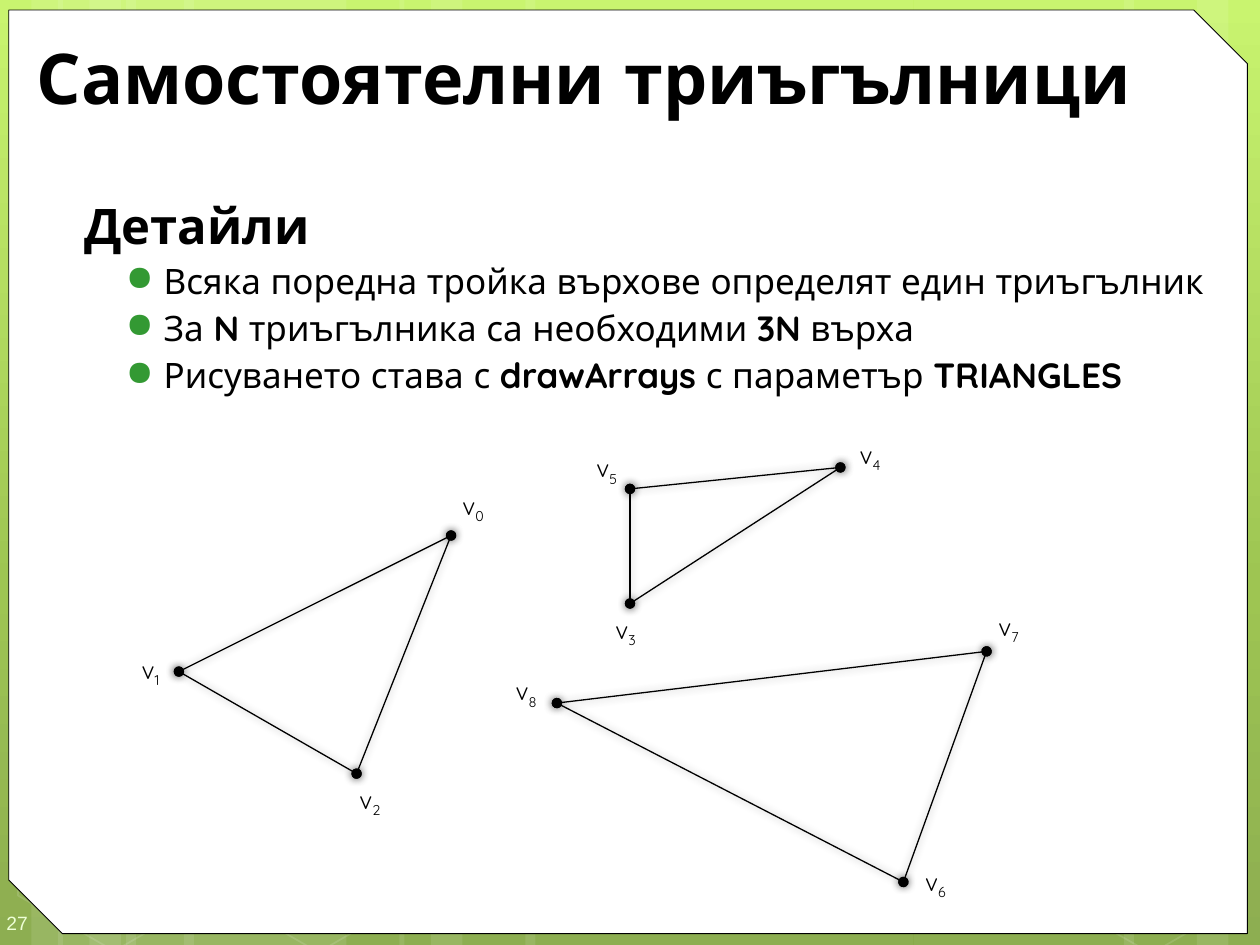
import copy
from dataclasses import dataclass

import pptx
import pptx.util
from lxml import etree
from pptx.dml.color import RGBColor
from pptx.enum.shapes import MSO_CONNECTOR, MSO_SHAPE
from pptx.enum.text import MSO_ANCHOR, PP_ALIGN
from pptx.oxml.ns import qn
from pptx.util import Inches


@dataclass(frozen=True)
class Theme:
    font: str = "Quicksand"
    number_font: str = "Arial"
    ink: str = "000000"
    paper: str = "FFFFFF"
    bullet: str = "339933"
    number: str = "EEFFD6"
    backdrop: tuple = ((0, "C3F35F"), (0.62, "93BF3F"), (1, "81A53E"))
    title_size: int = 40
    heading_size: int = 28
    body_size: int = 20
    label_size: int = 14
    number_size: int = 11
    frame_width: float = 0.5
    edge_width: float = 0.75


THEME = Theme()


def style_font(font, size, bold=False, color=THEME.ink, name=THEME.font):
    font.name = name
    font.size = pptx.util.Pt(size)
    font.bold = bold
    font.color.rgb = RGBColor.from_string(color)


def set_alpha(color_parent, percent):
    color = color_parent.find(".//" + qn("a:srgbClr"))
    etree.SubElement(color, qn("a:alpha"), val=str(percent * 1000))


def paint_backdrop(slide):
    fill = slide.background.fill
    fill.gradient()
    fill.gradient_angle = 270
    stop_list = slide._element.find(".//" + qn("a:gsLst"))
    stop_list.append(copy.deepcopy(stop_list[-1]))
    for stop, (position, color) in zip(fill.gradient_stops, THEME.backdrop):
        stop.position = position
        stop.color.rgb = RGBColor.from_string(color)


def add_strips(slide, box):
    left, top, width, height = box
    strips = [(1, 1.75), (0, 0.5), (0.25, 0.83), (1.46, 1.75), (0.46, 0.5),
              (0.71, 0.83), (7.25, 1.75), (9.5, 0.5), (8.92, 0.83),
              (4.17, 3.08), (3.17, 0.5), (3.42, 0.83)]
    for offset, strip_width in strips:
        strip = slide.shapes.add_shape(
            MSO_SHAPE.RECTANGLE, Inches(left + offset), Inches(top),
            Inches(strip_width), Inches(height))
        strip.shadow.inherit = False
        strip.fill.solid()
        strip.fill.fore_color.rgb = RGBColor.from_string(THEME.paper)
        set_alpha(strip._element.spPr, 10)
        strip.line.fill.background()


def add_hexagons(slide, box):
    left, top = box[:2]
    for x, y in [(0.03, 5.91), (1.65, 5.92), (8.26, 5.93), (0.06, 3.12)]:
        hexagon = slide.shapes.add_shape(
            MSO_SHAPE.HEXAGON, Inches(left + x), Inches(top + y),
            Inches(1.75), Inches(1.52))
        hexagon.adjustments[0] = 0.285
        hexagon.rotation = 30
        hexagon.shadow.inherit = False
        hexagon.fill.background()
        hexagon.line.width = pptx.util.Pt(1)
        hexagon.line.color.rgb = RGBColor.from_string(THEME.paper)
        set_alpha(hexagon._element.spPr, 12)


def add_panel(slide, box):
    panel = slide.shapes.add_shape(
        MSO_SHAPE.SNIP_2_DIAG_RECTANGLE, *map(Inches, box))
    panel.adjustments[0] = 0
    panel.adjustments[1] = 0.058
    panel.shadow.inherit = False
    panel.fill.solid()
    panel.fill.fore_color.rgb = RGBColor.from_string(THEME.paper)
    panel.line.color.rgb = RGBColor.from_string(THEME.ink)
    panel.line.width = pptx.util.Pt(THEME.frame_width)


def add_page_number(slide, box, number):
    frame = slide.shapes.add_textbox(*map(Inches, box)).text_frame
    frame.word_wrap = True
    frame.vertical_anchor = MSO_ANCHOR.MIDDLE
    frame.margin_left, frame.margin_right = Inches(0.05), 0
    frame.margin_top, frame.margin_bottom = Inches(0.15), Inches(0.1)
    frame.text = number
    style_font(frame.paragraphs[0].runs[0].font, THEME.number_size,
               color=THEME.number, name=THEME.number_font)


def place_title(slide, box, wording):
    title = slide.shapes.title
    title.left, title.top, title.width, title.height = map(Inches, box)
    title.text_frame.text = wording
    title.text_frame.vertical_anchor = MSO_ANCHOR.MIDDLE
    paragraph = title.text_frame.paragraphs[0]
    paragraph.alignment = PP_ALIGN.LEFT
    style_font(paragraph.runs[0].font, THEME.title_size, bold=True)


def set_indent(paragraph, margin, indent=0):
    properties = paragraph._p.get_or_add_pPr()
    properties.set("marL", str(Inches(margin)))
    properties.set("indent", str(Inches(indent)))
    return properties


def add_details(slide, box, heading, points):
    frame = slide.shapes.add_textbox(*map(Inches, box)).text_frame
    frame.word_wrap = True
    frame.text = heading
    set_indent(frame.paragraphs[0], 0.07)
    style_font(frame.paragraphs[0].runs[0].font, THEME.heading_size, bold=True)
    for point in points:
        paragraph = frame.add_paragraph()
        paragraph.level = 1
        properties = set_indent(paragraph, 0.7, -0.3)
        bullet_color = etree.SubElement(properties, qn("a:buClr"))
        etree.SubElement(bullet_color, qn("a:srgbClr"), val=THEME.bullet)
        etree.SubElement(properties, qn("a:buChar"), char="●")
        paragraph.space_before = pptx.util.Pt(3)
        for position, wording in enumerate(point):
            run = paragraph.add_run()
            run.text = wording
            style_font(run.font, THEME.body_size, bold=position % 2 == 1)


def add_edge(slide, start, end):
    edge = slide.shapes.add_connector(
        MSO_CONNECTOR.STRAIGHT, *map(Inches, (*start, *end)))
    edge.line.color.rgb = RGBColor.from_string(THEME.ink)
    edge.line.width = pptx.util.Pt(THEME.edge_width)
    outline = edge.line._get_or_add_ln()
    for ending in ("a:headEnd", "a:tailEnd"):
        etree.SubElement(outline, qn(ending), type="oval")
    effects = etree.SubElement(edge._element.spPr, qn("a:effectLst"))
    glow = etree.SubElement(effects, qn("a:outerShdw"),
                            blurRad=str(pptx.util.Pt(5)), dist="0", dir="0")
    etree.SubElement(glow, qn("a:srgbClr"), val=THEME.ink)
    set_alpha(effects, 40)


def add_vertex_label(slide, box, index):
    frame = slide.shapes.add_textbox(*map(Inches, box)).text_frame
    frame.word_wrap = True
    paragraph = frame.paragraphs[0]
    paragraph.alignment = PP_ALIGN.CENTER
    set_indent(paragraph, 0.07)
    for wording in ("v", str(index)):
        run = paragraph.add_run()
        run.text = wording
        style_font(run.font, THEME.label_size)
    run.font._element.set("baseline", "-25000")


def add_triangle(slide, corner, first_index, vertices, label_offsets):
    points = [(corner[0] + x, corner[1] + y) for x, y in vertices]
    for start, end in zip(points, points[1:] + points[:1]):
        add_edge(slide, start, end)
    for index, ((x, y), (dx, dy)) in enumerate(zip(points, label_offsets), first_index):
        add_vertex_label(slide, (x + dx, y + dy, 0.62, 0.34), index)


def main():
    deck = pptx.Presentation()
    deck.slide_width, deck.slide_height = Inches(10), Inches(7.5)
    slide = deck.slides.add_slide(deck.slide_layouts[5])
    whole = (0, 0, 10, 7.5)
    paint_backdrop(slide)
    add_strips(slide, whole)
    add_hexagons(slide, whole)
    add_panel(slide, (0.07, 0.08, 9.83, 7.33))
    add_page_number(slide, (0, 7.1, 0.58, 0.4), "27")
    place_title(slide, (0.19, 0.25, 9.47, 0.71), "Самостоятелни триъгълници")
    slide.shapes._spTree.append(slide.shapes.title._element)
    add_details(slide, (0.5, 1.5, 9.42, 5.92), "Детайли", [
        ["Всяка поредна тройка върхове определят един триъгълник"],
        ["За ", "N", " триъгълника са необходими ", "3N", " върха"],
        ["Рисуването става с ", "drawArrays ", "с параметър ", "TRIANGLES"],
    ])
    add_triangle(slide, (1.42, 4.25), 0, [(2.16, 0), (0, 1.08), (1.41, 1.89)],
                 [(-0.17, -0.4), (-0.57, -0.18), (-0.24, 0.04)])
    add_triangle(slide, (5, 3.71), 3, [(0, 1.08), (1.67, 0), (0, 0.17)],
                 [(-0.38, 0.04), (-0.11, -0.27), (-0.53, -0.33)])
    add_triangle(slide, (4.42, 5.17), 6, [(2.75, 1.83), (3.41, 0), (0, 0.41)],
                 [(-0.09, -0.17), (-0.17, -0.36), (-0.59, -0.26)])
    deck.save("out.pptx")


if __name__ == "__main__":
    main()
